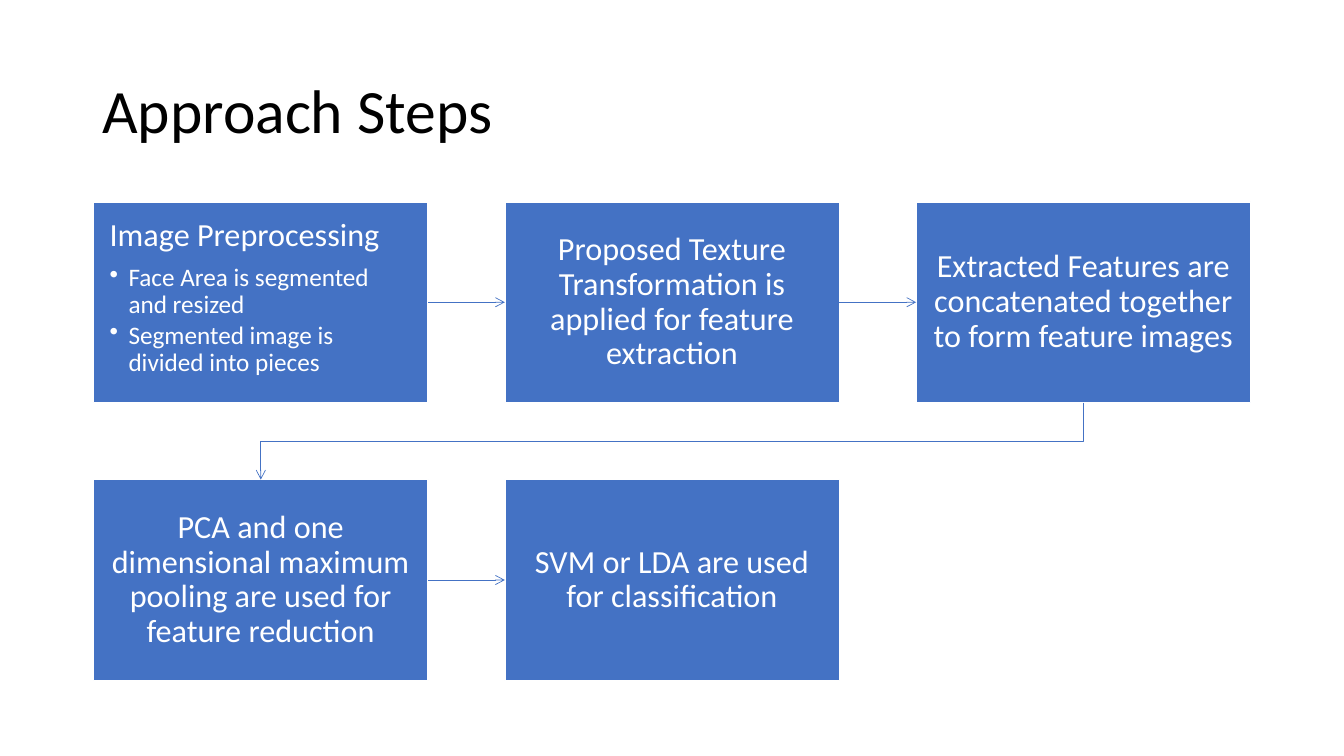
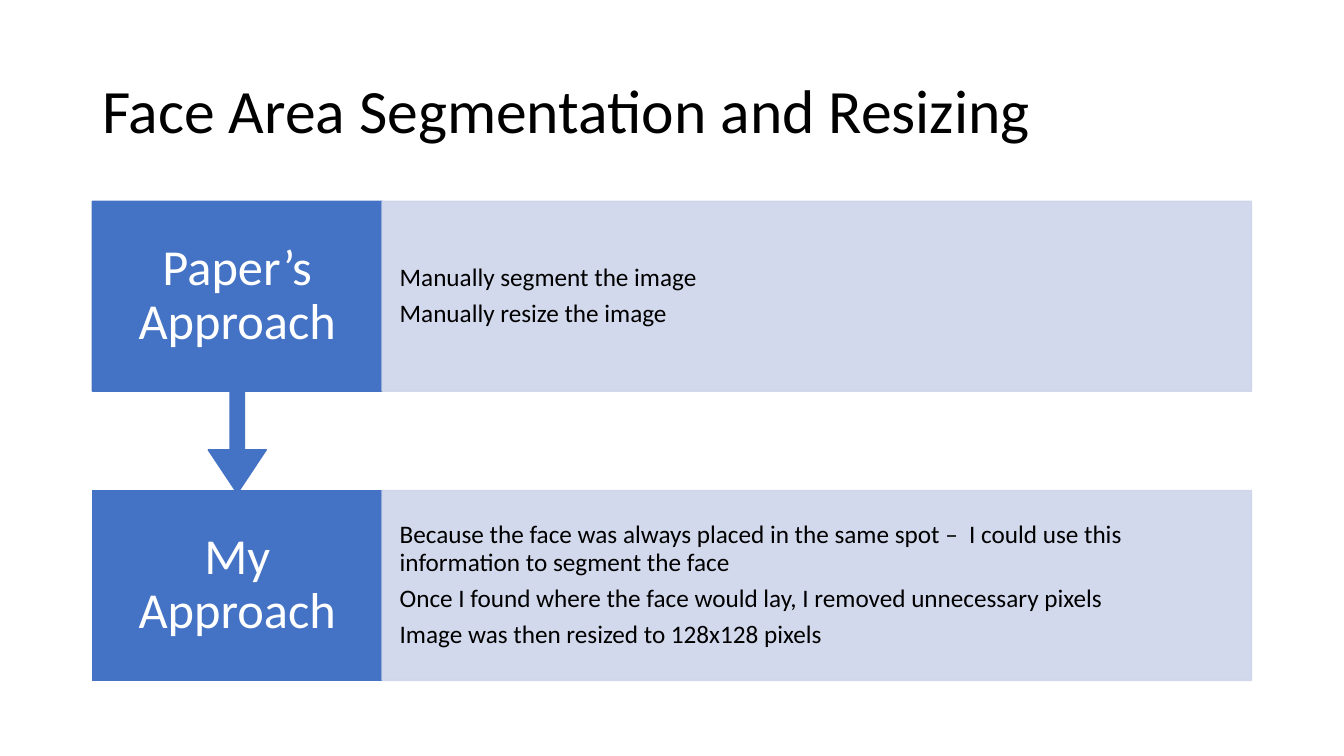
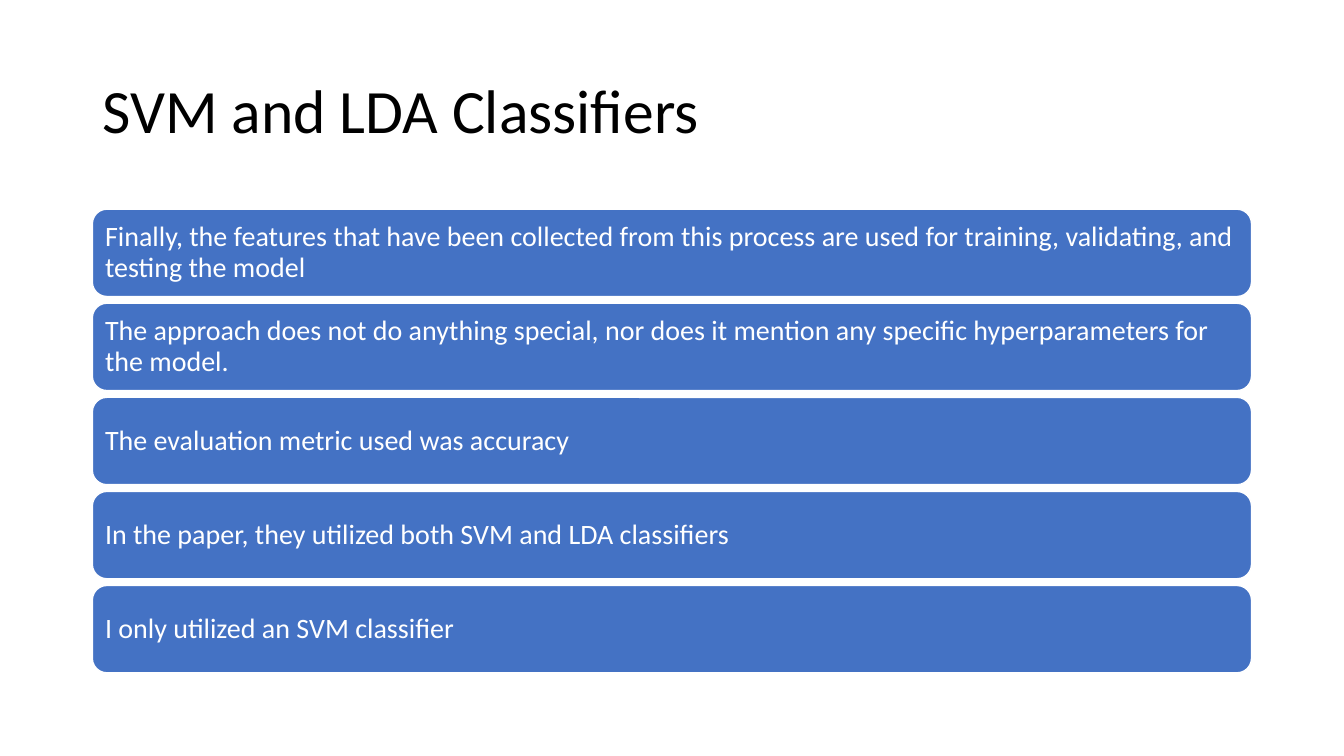
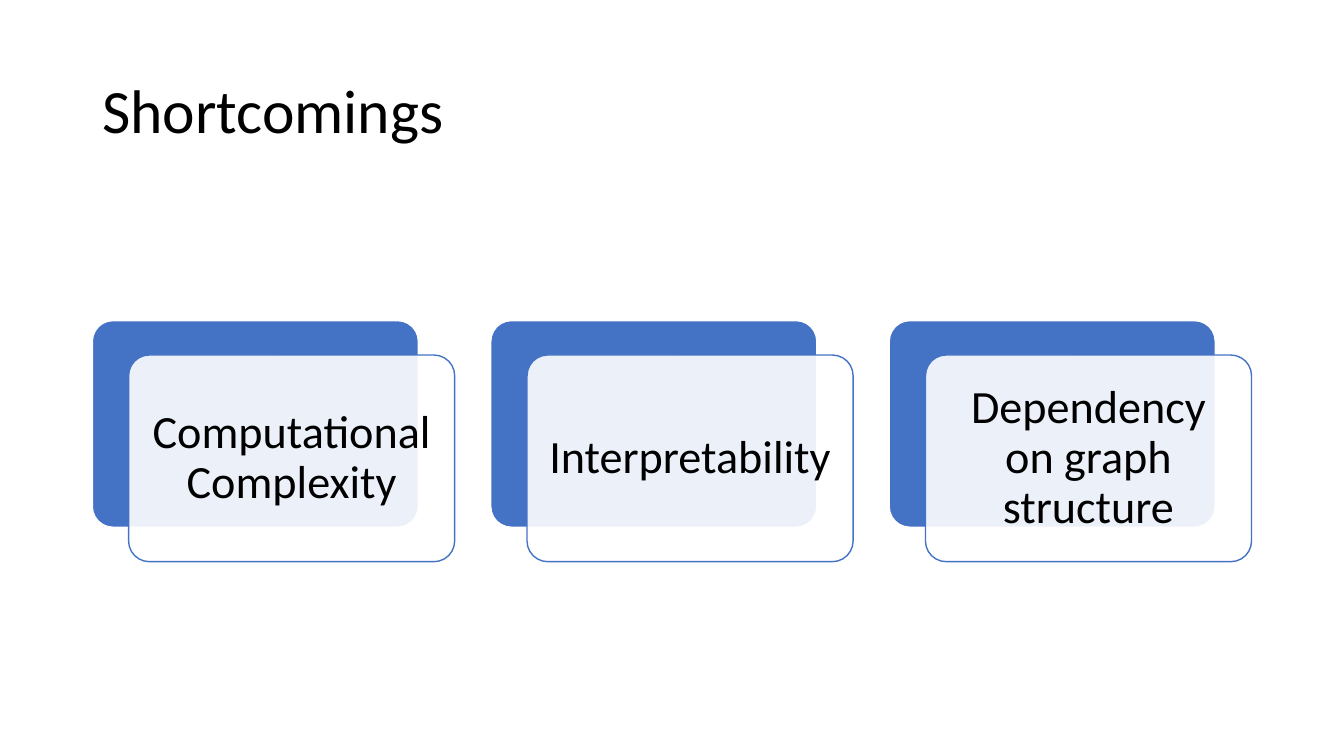
from lxml.etree import SubElement
from pptx import Presentation
from pptx.dml.color import RGBColor
from pptx.enum.shapes import MSO_CONNECTOR, MSO_SHAPE
from pptx.enum.text import MSO_ANCHOR, PP_ALIGN
from pptx.oxml.ns import qn
from pptx.util import Pt

BLACK = RGBColor(0x00, 0x00, 0x00)
WHITE = RGBColor(0xFF, 0xFF, 0xFF)
BLUE = RGBColor(0x44, 0x72, 0xC4)
PALE_BLUE = RGBColor(0xCF, 0xD5, 0xEA)

FONT = "Calibri"
LEFT, CONTENT_WIDTH = 66, 828
BOTTOM, TOP, RIGHT, LEFT_SIDE = 2, 0, 3, 1


def format_paragraph(paragraph, size, color, align=PP_ALIGN.LEFT, after=0):
    paragraph.alignment = align
    paragraph.line_spacing = 0.9
    paragraph.space_after = Pt(after)
    for run in paragraph.runs:
        run.font.name = FONT
        run.font.size = Pt(size)
        run.font.color.rgb = color


def write(shape, lines, size, color, align=PP_ALIGN.LEFT, insets=(7.2, 3.6)):
    frame = shape.text_frame
    frame.word_wrap = True
    frame.vertical_anchor = MSO_ANCHOR.MIDDLE
    frame.margin_left = frame.margin_right = Pt(insets[0])
    frame.margin_top = frame.margin_bottom = Pt(insets[1])
    frame.text = "\n".join(lines)
    for paragraph in frame.paragraphs:
        format_paragraph(paragraph, size, color, align, size * 0.35)


def add_bullet(frame, text):
    paragraph = frame.add_paragraph()
    paragraph.text = text
    paragraph.level = 1
    format_paragraph(paragraph, 18, WHITE, after=2.5)
    properties = paragraph._p.get_or_add_pPr()
    properties.set("marL", str(Pt(13.5)))
    properties.set("indent", str(-Pt(13.5)))
    SubElement(properties, qn("a:buChar"), char="•")


def add_box(slide, kind, left, top, width, height, fill=BLUE, line=WHITE):
    box = slide.shapes.add_shape(kind, Pt(left), Pt(top), Pt(width), Pt(height))
    box.shadow.inherit = False
    box.fill.solid()
    box.fill.fore_color.rgb = fill
    box.line.color.rgb = line
    box.line.width = Pt(1)
    return box


def fade(element):
    for color in element.iter(qn("a:srgbClr")):
        SubElement(color, qn("a:alpha"), val="90000")


def add_arrow(slide, kind, start, start_side, end, end_side):
    arrow = slide.shapes.add_connector(kind, 0, 0, 0, 0)
    arrow.begin_connect(start, start_side)
    arrow.end_connect(end, end_side)
    arrow.line.color.rgb = BLUE
    arrow.line.width = Pt(0.5)
    SubElement(arrow.line._get_or_add_ln(), qn("a:tailEnd"), type="arrow")
    SubElement(arrow._element.spPr, qn("a:effectLst"))
    return arrow


def turn_downward(arrow):
    across, down = arrow.width, arrow.height
    center_x, center_y = arrow.left + across // 2, arrow.top + down // 2
    arrow.left, arrow.top = center_x - down // 2, center_y - across // 2
    arrow.width, arrow.height = down, across
    frame = arrow._element.spPr.find(qn("a:xfrm"))
    frame.set("rot", "5400000")
    frame.set("flipH", "0")


def add_titled_slide(deck, title):
    slide = deck.slides.add_slide(deck.slide_layouts[6])
    heading = slide.shapes.add_textbox(Pt(LEFT), Pt(28.8), Pt(CONTENT_WIDTH), Pt(104.4))
    write(heading, [title], 44, BLACK)
    return slide


def add_steps(deck):
    slide = add_titled_slide(deck, "Approach Steps")
    texts = [
        "Image Preprocessing",
        "Proposed Texture Transformation is applied for feature extraction",
        "Extracted Features are concatenated together to form feature images",
        "PCA and one dimensional maximum pooling are used for feature reduction",
        "SVM or LDA are used for classification",
    ]
    steps = []
    for index, text in enumerate(texts):
        row, column = divmod(index, 3)
        step = add_box(slide, MSO_SHAPE.RECTANGLE,
                       66.8 + column * 293.8, 144.2 + row * 198.4, 239, 143.4)
        write(step, [text], 23, WHITE, PP_ALIGN.CENTER, (11.5, 12.2))
        steps.append(step)

    preprocessing = steps[0].text_frame
    preprocessing.vertical_anchor = MSO_ANCHOR.TOP
    preprocessing.paragraphs[0].alignment = PP_ALIGN.LEFT
    add_bullet(preprocessing, "Face Area is segmented and resized")
    add_bullet(preprocessing, "Segmented image is divided into pieces")

    for start, end in zip(steps, steps[1:]):
        if start.top == end.top:
            add_arrow(slide, MSO_CONNECTOR.STRAIGHT, start, RIGHT, end, LEFT_SIDE)
        else:
            turn_downward(add_arrow(slide, MSO_CONNECTOR.ELBOW, start, BOTTOM, end, TOP))


def add_approach(slide, kind, top, height, name, points):
    label = add_box(slide, kind, LEFT, top, 207, height, line=BLUE)
    write(label, [name], 36, WHITE, PP_ALIGN.CENTER, (14.4, 20))
    panel = add_box(slide, MSO_SHAPE.RECTANGLE, LEFT + 207, top, 621, 135.6,
                    PALE_BLUE, PALE_BLUE)
    fade(panel._element.spPr)
    write(panel, points, 18, BLACK, insets=(12.5, 18))
    return label


def add_segmentation(deck):
    slide = add_titled_slide(deck, "Face Area Segmentation and Resizing")
    add_approach(slide, MSO_SHAPE.RECTANGLE, 350.4, 135.6, "My Approach", [
        "Because the face was always placed in the same spot –  I could use this "
        "information to segment the face",
        "Once I found where the face would lay, I removed unnecessary pixels",
        "Image was then resized to 128x128 pixels",
    ])
    callout = add_approach(slide, MSO_SHAPE.DOWN_ARROW_CALLOUT, 143.8, 208.6, "Paper’s Approach", [
        "Manually segment the image",
        "Manually resize the image",
    ])
    for index, value in enumerate((0.05, 0.1, 0.15, 0.65)):
        callout.adjustments[index] = value


def add_classifiers(deck):
    slide = add_titled_slide(deck, "SVM and LDA Classifiers")
    statements = [
        "Finally, the features that have been collected from this process are used for "
        "training, validating, and testing the model",
        "The approach does not do anything special, nor does it mention any specific "
        "hyperparameters for the model.",
        "The evaluation metric used was accuracy",
        "In the paper, they utilized both SVM and LDA classifiers",
        "I only utilized an SVM classifier",
    ]
    for index, statement in enumerate(statements):
        bar = add_box(slide, MSO_SHAPE.ROUNDED_RECTANGLE,
                      LEFT, 149.4 + index * 67.2, CONTENT_WIDTH, 62.4)
        write(bar, [statement], 20, WHITE, insets=(6, 6))


def add_shortcomings(deck):
    slide = add_titled_slide(deck, "Shortcomings")
    shortcomings = ["Computational Complexity", "Interpretability", "Dependency on graph structure"]
    for index, shortcoming in enumerate(shortcomings):
        left = LEFT + index * 284.6
        backing = add_box(slide, MSO_SHAPE.ROUNDED_RECTANGLE, left, 229, 232.9, 147.6)
        card = add_box(slide, MSO_SHAPE.ROUNDED_RECTANGLE, left + 25.9, 253.6, 232.9, 147.6,
                       WHITE, BLUE)
        backing.adjustments[0] = card.adjustments[0] = 0.1
        fade(card._element.spPr.find(qn("a:solidFill")))
        write(card, [shortcoming], 33, BLACK, PP_ALIGN.CENTER, (10, 10))


def main():
    deck = Presentation()
    deck.slide_width, deck.slide_height = Pt(960), Pt(540)
    add_steps(deck)
    add_segmentation(deck)
    add_classifiers(deck)
    add_shortcomings(deck)
    deck.save("out.pptx")


if __name__ == "__main__":
    main()
